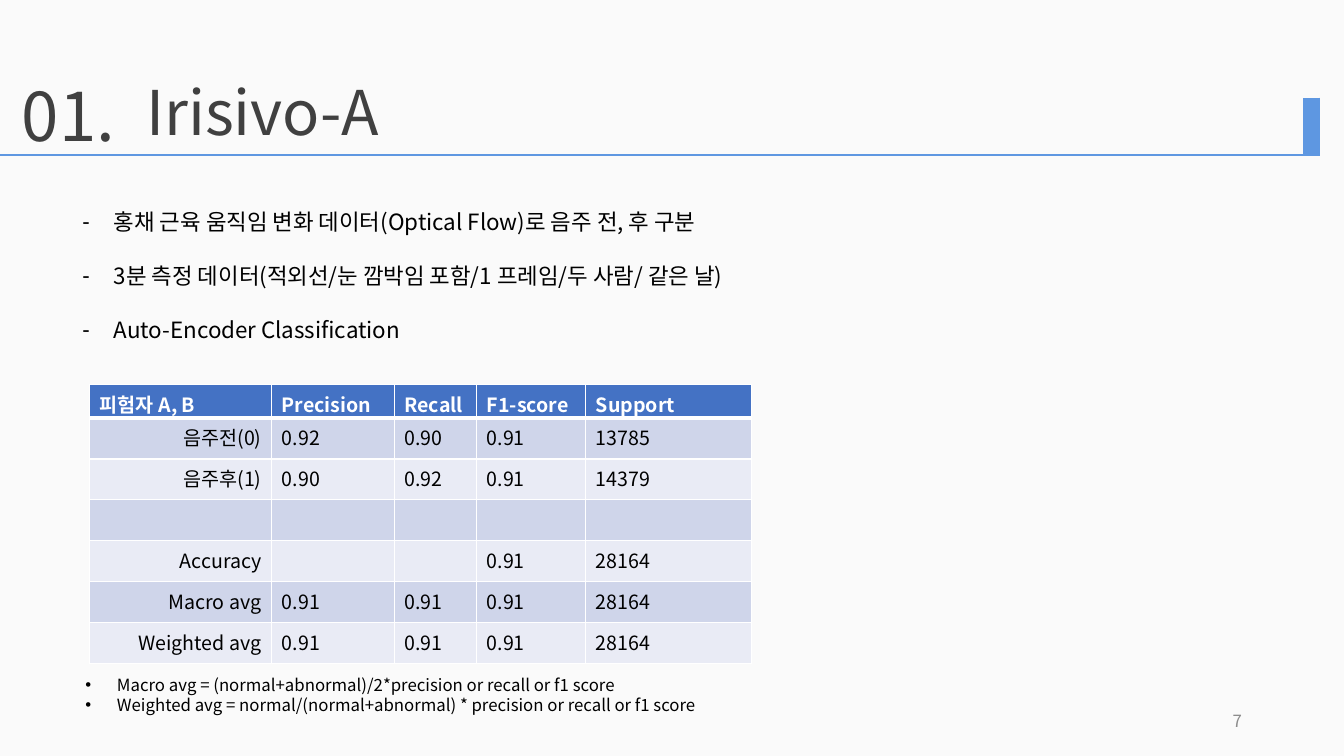
from lxml import etree
from pptx import Presentation
from pptx.dml.color import RGBColor
from pptx.enum import shapes, text
from pptx.oxml import ns
from pptx.util import Pt

FONT = "Noto Sans CJK KR"
PAPER = RGBColor(0xFA, 0xFA, 0xFA)
BLUE = RGBColor(0x5E, 0x97, 0xE1)
HEADER = RGBColor(0x44, 0x72, 0xC4)
BANDS = RGBColor(0xE9, 0xEB, 0xF5), RGBColor(0xCF, 0xD5, 0xEA)
DARK = RGBColor(0x40, 0x40, 0x40)
GREY = RGBColor(0x8C, 0x8C, 0x8C)
BLACK = RGBColor(0, 0, 0)
WHITE = RGBColor(0xFF, 0xFF, 0xFF)
LEFT, RIGHT = text.PP_ALIGN.LEFT, text.PP_ALIGN.RIGHT


def write(p, words, size, color, bold=False, **fmt):
    """Put one formatted run in paragraph p; fmt holds paragraph attributes."""
    for name, value in fmt.items():
        setattr(p, name, value)
    r = p.add_run()
    r.text = words
    for name, value in dict(name=FONT, size=Pt(size), bold=bold).items():
        setattr(r.font, name, value)
    r.font.color.rgb = color
    etree.SubElement(r.font._element, ns.qn("a:ea"), typeface=FONT)


def fit(sp, left, top, width, height, wrap=True, anchor=text.MSO_ANCHOR.TOP):
    """Place a text shape and return its text frame."""
    sp.left, sp.top, sp.width, sp.height = map(Pt, (left, top, width, height))
    tf = sp.text_frame
    tf.auto_size = text.MSO_AUTO_SIZE.NONE
    tf.word_wrap, tf.vertical_anchor = wrap, anchor
    return tf


prs = Presentation()
prs.slide_width, prs.slide_height = Pt(960), Pt(540)
s = prs.slides.add_slide(prs.slide_layouts[5])
s.background.fill.solid()
s.background.fill.fore_color.rgb = PAPER

# Heading
number = s.shapes.add_textbox(0, 0, 0, 0)
for sp, words, left, width, size in (
    (number, "01.", 8.6, 86.4, 48),
    (s.shapes.title, "Irisivo-A", 97.2, 251.3, 44),
):
    tf = fit(sp, left, 45.4, width, 65, wrap=False)
    write(tf.paragraphs[0], words, size, DARK, alignment=LEFT, line_spacing=Pt(round(size * 1.29, 1)))

for x1, y1, x2, y2, weight in ((0, 110.9, 942.5, 110.9, 1.75), (936.7, 69.8, 936.7, 111.6, 12)):
    rule = s.shapes.add_connector(shapes.MSO_CONNECTOR.STRAIGHT, Pt(x1), Pt(y1), Pt(x2), Pt(y2))
    rule.line.color.rgb = BLUE
    rule.line.width = Pt(weight)
    etree.SubElement(rule._element.spPr, ns.qn("a:effectLst"))

# Bulleted lists
points = [
    "홍채 근육 움직임 변화 데이터(Optical Flow)로 음주 전, 후 구분",
    "3분 측정 데이터(적외선/눈 깜박임 포함/1 프레임/두 사람/ 같은 날)",
    "Auto-Encoder Classification",
]
notes = [
    "Macro avg = (normal+abnormal)/2*precision or recall or f1 score",
    "Weighted avg = normal/(normal+abnormal) * precision or recall or f1 score",
]
for lines, box, bullet, size, leading, gap in (
    (points, (51.8, 145.2, 819.4, 104.4), "-", 16, 19.3, 19.3),
    (notes, (54, 478.6, 511.2, 36), "•", 12, 14.3, 0),
):
    tf = fit(s.shapes.add_textbox(0, 0, 0, 0), *box)
    for i, words in enumerate(lines):
        p = tf.add_paragraph() if i else tf.paragraphs[0]
        write(p, words, size, BLACK, line_spacing=Pt(leading), space_after=Pt(gap))
        pPr = p._p.get_or_add_pPr()
        pPr.set("marL", str(Pt(22.5)))
        pPr.set("indent", str(-Pt(22.5)))
        etree.SubElement(pPr, ns.qn("a:buFont"), typeface="Arial")
        etree.SubElement(pPr, ns.qn("a:buChar"), char=bullet)

# Scores
scores = [
    ["피험자 A, B", "Precision", "Recall", "F1-score", "Support"],
    ["음주전(0)", "0.92", "0.90", "0.91", "13785"],
    ["음주후(1)", "0.90", "0.92", "0.91", "14379"],
    ["", "", "", "", ""],
    ["Accuracy", "", "", "0.91", "28164"],
    ["Macro avg", "0.91", "0.91", "0.91", "28164"],
    ["Weighted avg", "0.91", "0.91", "0.91", "28164"],
]
widths = [130, 87.6, 58.8, 78, 118.6]
table = s.shapes.add_table(len(scores), len(widths), Pt(64.1), Pt(274.6), Pt(473), Pt(199.2)).table
table.horz_banding = False
for column, width in zip(table.columns, widths):
    column.width = Pt(width)
for i, row in enumerate(scores):
    head = i == 0
    table.rows[i].height = Pt(24 if head else 29.2)
    for j, words in enumerate(row):
        cell = table.cell(i, j)
        p = cell.text_frame.paragraphs[0]
        if words:
            write(p, words, 14, WHITE if head else BLACK, bold=head,
                  alignment=RIGHT if j == 0 and not head else LEFT)
        else:
            p._p.get_or_add_endParaRPr().set("sz", "1400")
        if head:
            cell.margin_bottom = 0
        tcPr = cell._tc.get_or_add_tcPr()
        for side in ("lnL", "lnR", "lnT", "lnB"):
            thick = (i, side) in ((0, "lnB"), (1, "lnT"))
            ln = etree.SubElement(tcPr, ns.qn("a:" + side), w=str(Pt(3 if thick else 1)))
            fill = etree.SubElement(ln, ns.qn("a:solidFill"))
            etree.SubElement(fill, ns.qn("a:srgbClr"), val=str(WHITE))
        cell.fill.solid()
        cell.fill.fore_color.rgb = HEADER if head else BANDS[i % 2]

# Slide number
tf = fit(s.shapes.add_textbox(0, 0, 0, 0), 678.2, 500.4, 216, 28.8, anchor=text.MSO_ANCHOR.MIDDLE)
write(tf.paragraphs[0], "7", 12, GREY, alignment=RIGHT)

prs.save("out.pptx")
